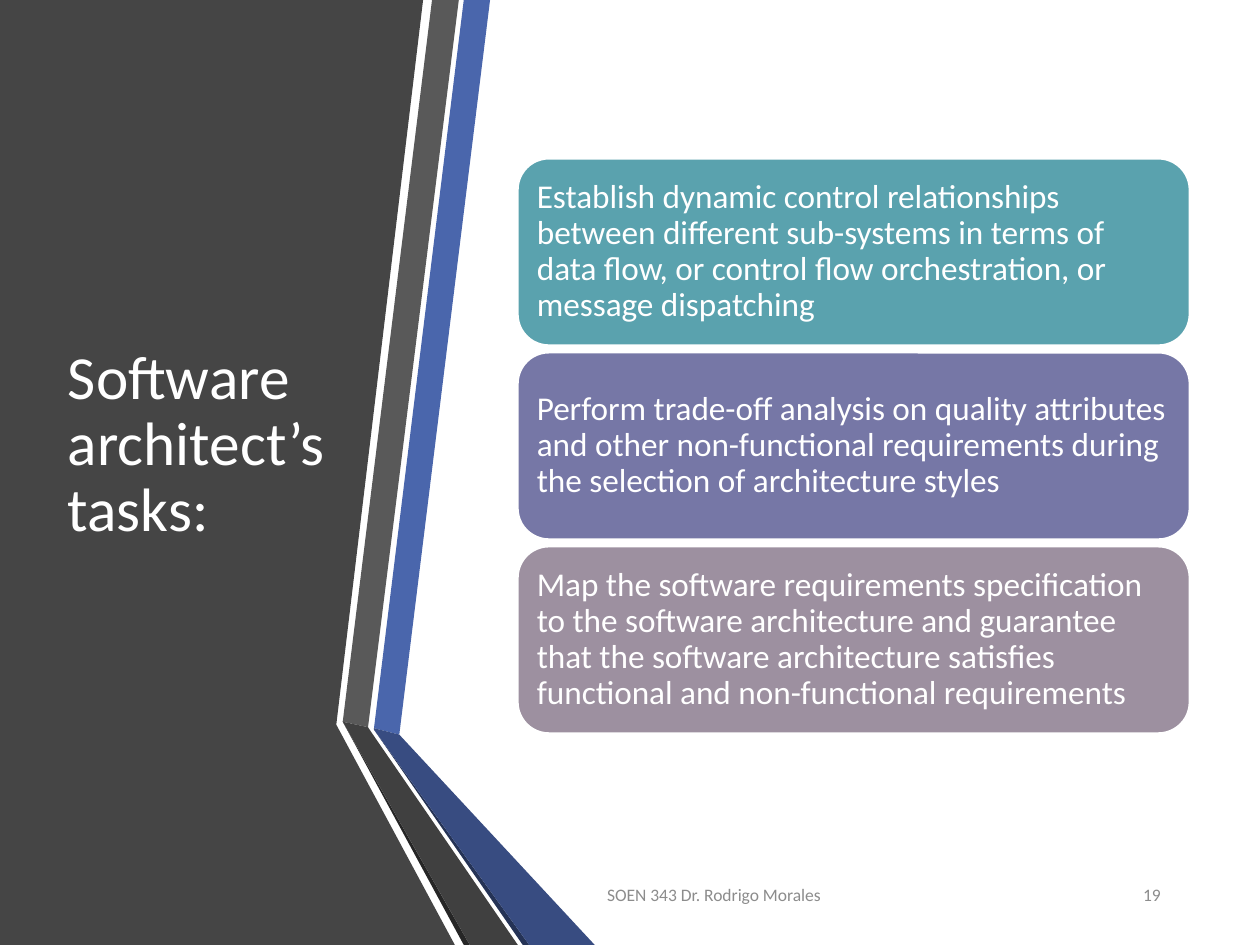
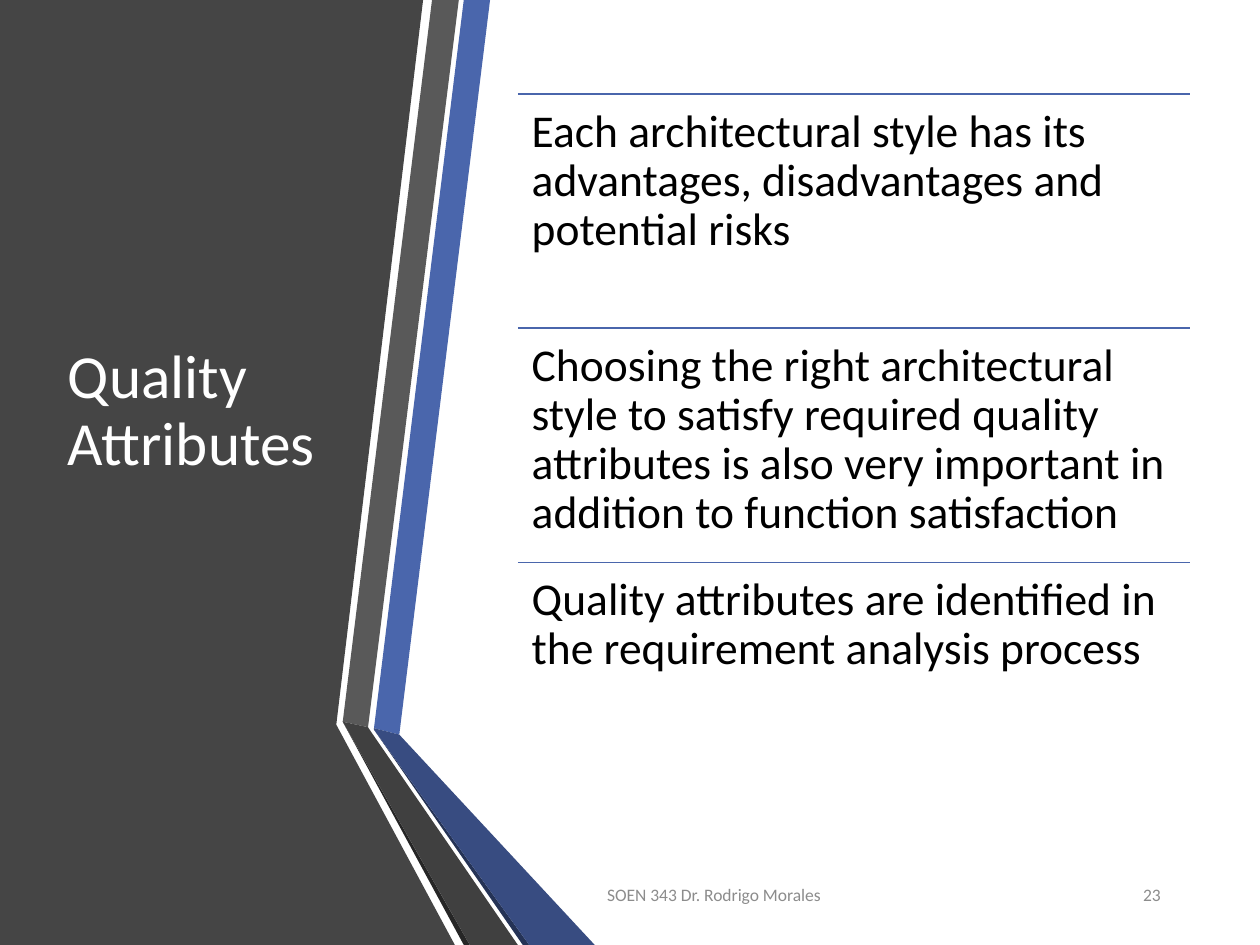
"""Build two slides on software architecture that share a folded side band."""
from lxml.etree import SubElement
from pptx import Presentation
from pptx.dml.color import RGBColor
from pptx.enum.shapes import MSO_CONNECTOR, MSO_SHAPE
from pptx.enum.text import MSO_ANCHOR, PP_ALIGN
from pptx.oxml.ns import qn
from pptx.util import Cm, Pt

FONT = "Calibri"
WHITE, BLACK, BLUE, FOOTER_GREY = "FFFFFF", "000000", "4A66AC", "8C8C8C"
FOOTER = "SOEN 343 Dr. Rodrigo Morales"

TASKS_TITLE = "Software architect’s tasks:"
TASKS = [
    ("5AA2AE", "Establish dynamic control relationships between different sub-systems "
               "in terms of data flow, or control flow orchestration, or message dispatching"),
    ("7677A6", "Perform trade-off analysis on quality attributes and other "
               "non-functional requirements during the selection of architecture styles"),
    ("9D90A0", "Map the software requirements specification to the software architecture "
               "and guarantee that the software architecture satisfies functional and "
               "non-functional requirements"),
]

QUALITY_TITLE = "Quality Attributes"
QUALITIES = [
    "Each architectural style has its advantages, disadvantages and potential risks",
    "Choosing the right architectural style to satisfy required quality attributes "
    "is also very important in addition to function satisfaction",
    "Quality attributes are identified in the requirement analysis process",
]

BAND = [
    ("454545", [(0, 0), (8.53, 0), (6.78, 14.61), (9.17, 19.05), (0, 19.05)]),
    (BLUE, [(7.54, 14.68), (8.05, 14.81), (9.88, 0), (9.35, 0)]),
    ("595959", [(9.25, 0), (8.71, 0), (6.91, 14.55), (7.42, 14.66)]),
    ("262626", [(6.91, 14.55), (9.35, 19.05), (9.47, 19.05)]),
    ("253356", [(7.54, 14.71), (10.54, 19.05), (10.67, 19.05)]),
    ("384C81", [(7.54, 14.68), (7.54, 14.71), (10.67, 19.05), (11.99, 19.05), (8.05, 14.81)]),
    ("404040", [(10.44, 19.05), (7.52, 14.81), (7.42, 14.66), (6.91, 14.55), (9.47, 19.05)]),
]

BODY_LEFT, BODY_WIDTH = 10.44, 13.54
CARD_TOP, CARD_HEIGHT, CARD_PITCH = 3.2, 3.76, 3.91
ROW_TOP, ROW_PITCH = 1.9, 4.72


def rgb(code):
    return RGBColor.from_string(code)


def paint(sp, fill):
    sp.shadow.inherit = False
    sp.fill.solid()
    sp.fill.fore_color.rgb = rgb(fill)
    sp.line.fill.background()


def write(sp, text, size, color, anchor=MSO_ANCHOR.MIDDLE, align=PP_ALIGN.LEFT,
          spacing=0.9, inset=None, bottom=None):
    tf = sp.text_frame
    tf.word_wrap = True
    tf.vertical_anchor = anchor
    if inset is not None:
        tf.margin_left = tf.margin_right = tf.margin_top = tf.margin_bottom = Cm(inset)
    if bottom is not None:
        tf.margin_bottom = Cm(bottom)
    p = tf.paragraphs[0]
    p.alignment = align
    p.line_spacing = spacing
    r = p.add_run()
    r.text = text
    r.font.name, r.font.size = FONT, Pt(size)
    r.font.color.rgb = rgb(color)


def add_text(s, box, text, size, color, **style):
    sp = s.shapes.add_textbox(*map(Cm, box))
    write(sp, text, size, color, **style)


def add_rule(s, y):
    line = s.shapes.add_connector(MSO_CONNECTOR.STRAIGHT, Cm(BODY_LEFT), Cm(y),
                                  Cm(BODY_LEFT + BODY_WIDTH), Cm(y))
    line.line.color.rgb = rgb(BLUE)
    line.line.width = Pt(1)
    SubElement(line._element.spPr, qn("a:effectLst"))


def add_base(prs, title, number, title_bottom=None):
    s = prs.slides.add_slide(prs.slide_layouts[6])
    for fill, points in BAND:
        start, *rest = [(Cm(x), Cm(y)) for x, y in points]
        builder = s.shapes.build_freeform(*start)
        builder.add_line_segments(rest)
        paint(builder.convert_to_shape(), fill)
    add_text(s, (1.12, 1.9, 5.8, 14.17), title, 35, WHITE, bottom=title_bottom)
    add_text(s, (11.99, 17.53, 8.13, 1.02), FOOTER, 10, FOOTER_GREY, spacing=1.0)
    add_text(s, (21.39, 17.53, 2.26, 1.02), str(number), 10, FOOTER_GREY,
             align=PP_ALIGN.RIGHT, spacing=1.0)
    return s


def add_tasks(prs):
    s = add_base(prs, TASKS_TITLE, 19)
    for i, (fill, text) in enumerate(TASKS):
        card = s.shapes.add_shape(MSO_SHAPE.ROUNDED_RECTANGLE, Cm(BODY_LEFT),
                                  Cm(CARD_TOP + i * CARD_PITCH), Cm(BODY_WIDTH), Cm(CARD_HEIGHT))
        paint(card, fill)
        card.line.color.rgb = rgb(WHITE)
        card.line.width = Pt(1)
        write(card, text, 19, WHITE, inset=0.2)


def add_qualities(prs):
    s = add_base(prs, QUALITY_TITLE, 23, title_bottom=1.48)
    for i, text in enumerate(QUALITIES):
        y = ROW_TOP + i * ROW_PITCH
        add_rule(s, y)
        add_text(s, (BODY_LEFT, y, BODY_WIDTH, ROW_PITCH), text, 26, BLACK,
                 anchor=MSO_ANCHOR.TOP, inset=0.28)


def main():
    prs = Presentation()
    prs.slide_width, prs.slide_height = Cm(25.4), Cm(19.05)
    add_tasks(prs)
    add_qualities(prs)
    prs.save("out.pptx")


if __name__ == "__main__":
    main()
